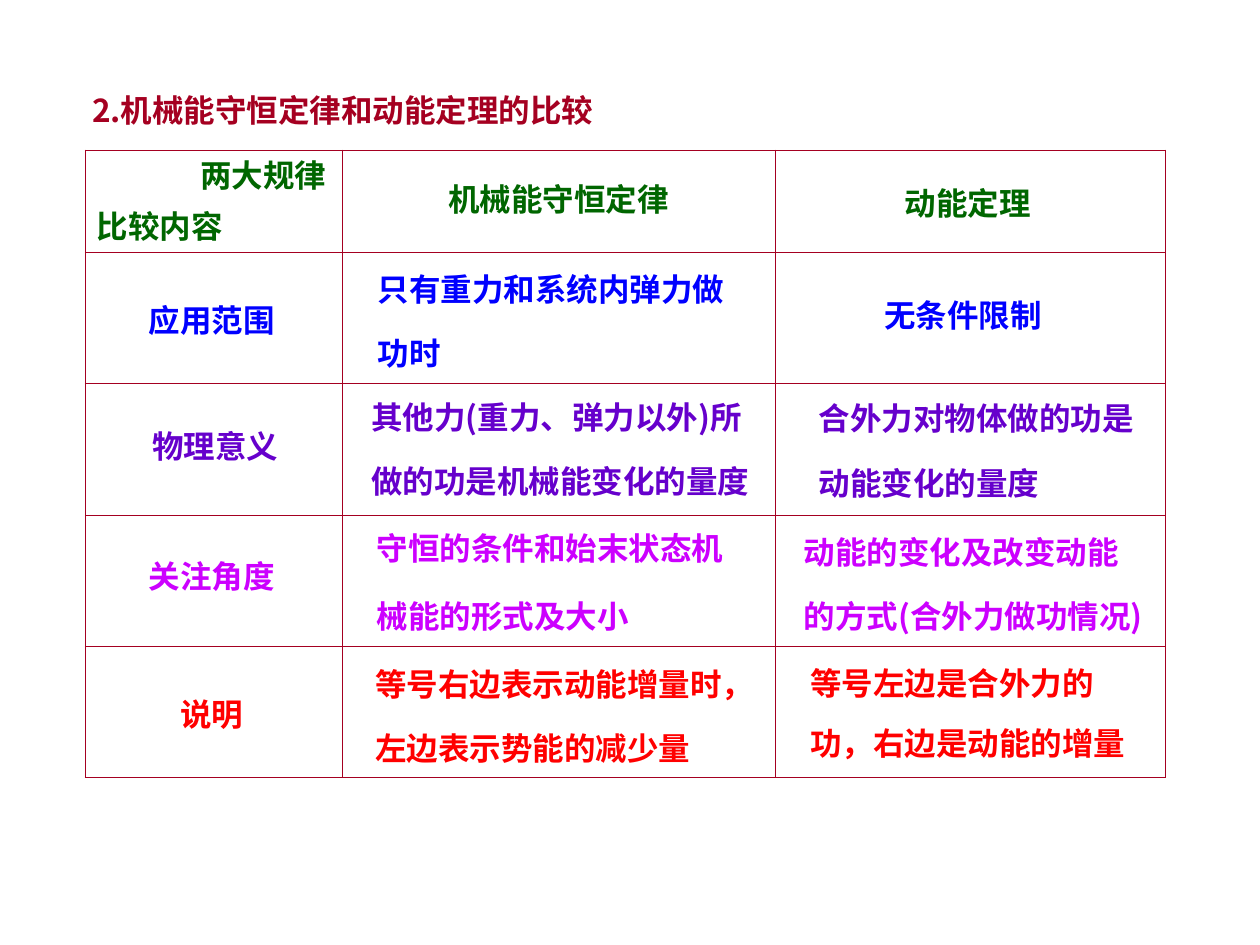
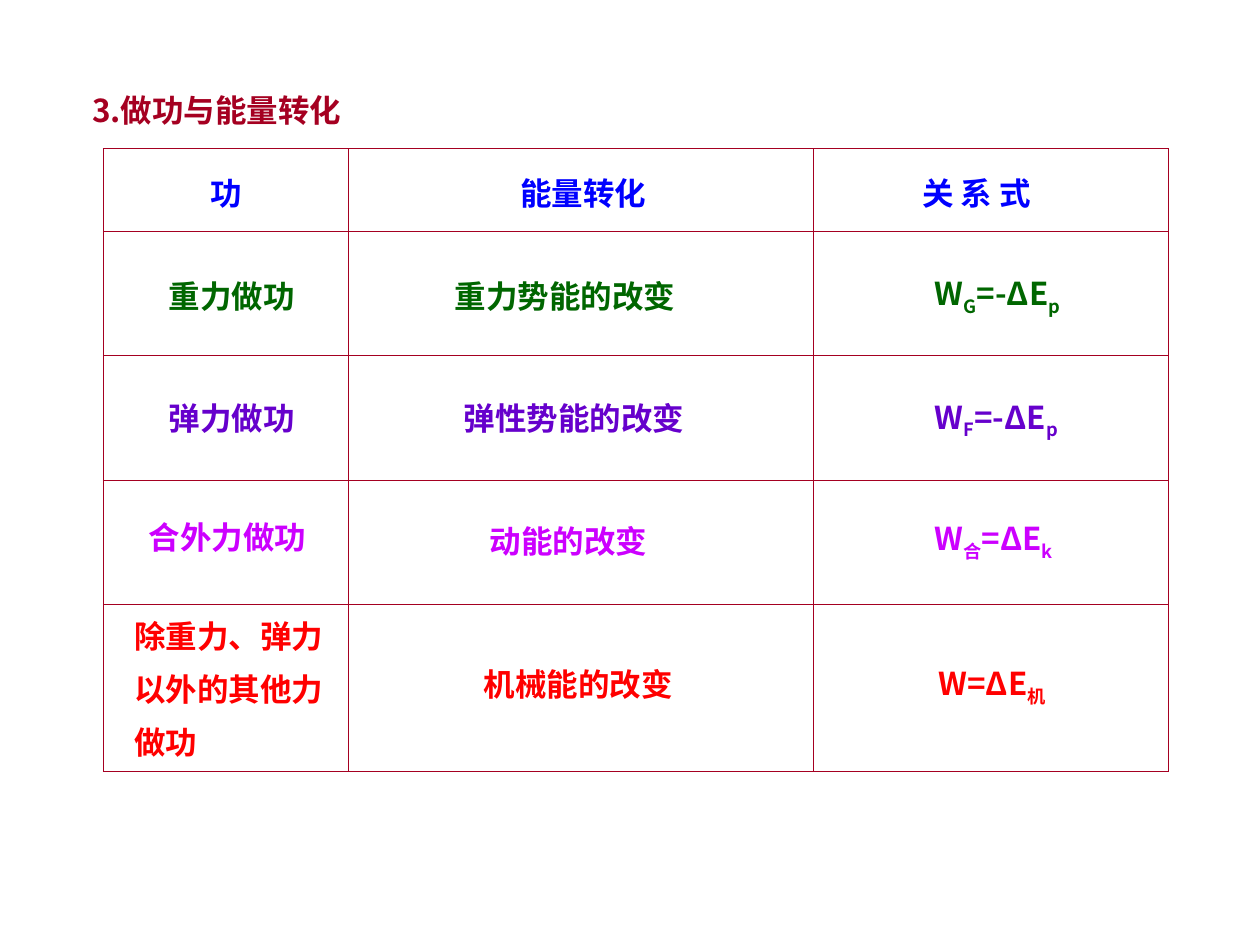
from lxml.etree import SubElement
from pptx import Presentation
from pptx.dml.color import RGBColor as RGB
from pptx.enum.text import MSO_ANCHOR as Anchor, MSO_AUTO_SIZE as AutoSize, PP_ALIGN as Align
from pptx.oxml.ns import qn
from pptx.util import Pt

COLORS = {
    "crimson": "A50021",
    "green": "006600",
    "blue": "0000FF",
    "purple": "6600CC",
    "magenta": "CC00FF",
    "red": "FF0000",
}
FONT = "Noto Sans CJK SC"
TEXT_SIZE = 18
LINE_HEIGHT = 21.6
INSET_X, INSET_Y = 7.2, 3.6
SUBSCRIPT_ROOM = 3.6
OUTER_RULE, INNER_RULE = 0.75, 0.45
TITLE_LEFT, TITLE_TOP = 45.4, 46.1

COMPARISON = [
    ("green", [
        ("两大规律", 107.3, 83.5, 107.3),
        ("比较内容", 48.2, 112.3, 115.9),
        ("机械能守恒定律", 249.1, 97.2, 162.7),
        ("动能定理", 509.8, 99.4, 129.6),
    ]),
    ("blue", [
        ("应用范围", 77.8, 166.3, 121.7),
        ("只有重力和系统内弹力做\n功时", 208.8, 135.4, 247.7, 1.7),
        ("无条件限制", 498.2, 163.4, 127.4),
    ]),
    ("purple", [
        ("物理意义", 79.9, 238.3, 127.4),
        ("其他力(重力、弹力以外)所\n做的功是机械能变化的量度", 205.2, 208.8, 268.6, 1.7),
        ("合外力对物体做的功是\n动能变化的量度", 460.8, 209.5, 232.6, 1.7),
    ]),
    ("magenta", [
        ("关注角度", 77.8, 312.5, 97.9),
        ("守恒的条件和始末状态机\n械能的形式及大小", 208.1, 281.5, 250.6, 1.8),
        ("动能的变化及改变动能\n的方式(合外力做功情况)", 452.2, 285.8, 247.7, 1.7),
    ]),
    ("red", [
        ("说明", 95.8, 391.7, 117.4),
        ("等号右边表示动能增量时，\n左边表示势能的减少量", 207.4, 361.4, 273.6, 1.7),
        ("等号左边是合外力的\n功，右边是动能的增量", 455.8, 362.9, 240.5, 1.6),
    ]),
]

CONVERSION = [
    ("blue", [
        ("功", 113, 93.6, 64.8),
        ("能量转化", 290.2, 93.6, 115.9),
        ("关 系 式", 519.8, 93.6, 115.9),
    ]),
    ("green", [
        ("重力做功", 89.3, 152.6, 115.9),
        ("重力势能的改变", 252.7, 152.6, 175),
        (("W", "G", "=-ΔE", "p"), 527, 150.5, 124.6),
    ]),
    ("purple", [
        ("弹力做功", 89.3, 222.5, 124.6),
        ("弹性势能的改变", 257.8, 222.5, 178.6),
        (("W", "F", "=-ΔE", "p"), 527, 221, 137.5),
    ]),
    ("magenta", [
        ("合外力做功", 77.8, 290.2, 124.6),
        ("动能的改变", 272.9, 292.3, 124.6),
        (("W", "合", "=ΔE", "k"), 527, 290.2, 124.6),
    ]),
    ("red", [
        ("除重力、弹力\n以外的其他力\n做功", 69.8, 340.6, 168.5, 1.4),
        ("机械能的改变", 269.3, 374.4, 145.4),
        (("W=ΔE", "机"), 529.2, 373, 145.4),
    ]),
]


def format_text(frame, color, spacing):
    frame.word_wrap = True
    frame.auto_size = AutoSize.SHAPE_TO_FIT_TEXT
    frame.vertical_anchor = Anchor.MIDDLE
    frame.margin_left = frame.margin_right = Pt(INSET_X)
    frame.margin_top = frame.margin_bottom = Pt(INSET_Y)
    for paragraph in frame.paragraphs:
        paragraph.alignment = Align.LEFT
        paragraph.line_spacing = spacing
        font = paragraph.font
        font.size, font.bold, font.name = Pt(TEXT_SIZE), True, FONT
        font.color.rgb = RGB.from_string(COLORS[color])
        defaults = paragraph._p.pPr.find(qn("a:defRPr"))
        SubElement(defaults, qn("a:ea"), typeface=FONT)


def text_height(line_count, spacing):
    return 2 * INSET_Y + line_count * LINE_HEIGHT * spacing


def write_formula(paragraph, parts):
    for position, part in enumerate(parts):
        run = paragraph.add_run()
        run.text = part
        if position % 2:
            run._r.get_or_add_rPr().set("baseline", "-25000")


def add_entry(slide, color, content, left, top, width, spacing=1.1):
    is_formula = isinstance(content, tuple)
    line_count = 1 if is_formula else len(content.split("\n"))
    height = text_height(line_count, spacing) + is_formula * SUBSCRIPT_ROOM
    entry = slide.shapes.add_textbox(Pt(left), Pt(top), Pt(width), Pt(height))
    if is_formula:
        write_formula(entry.text_frame.paragraphs[0], content)
    else:
        entry.text_frame.text = content
    format_text(entry.text_frame, color, spacing)


def set_title(slide, heading, width):
    title = slide.shapes.title
    title.left, title.top = Pt(TITLE_LEFT), Pt(TITLE_TOP)
    title.width, title.height = Pt(width), Pt(text_height(1, 1.1))
    title.text_frame.text = heading
    format_text(title.text_frame, "crimson", 1.1)


def rule_cell(cell, outer_sides):
    cell.fill.background()
    properties = cell._tc.get_or_add_tcPr()
    for position, side in enumerate(("L", "R", "T", "B")):
        weight = OUTER_RULE if side in outer_sides else INNER_RULE
        border = properties.makeelement(qn(f"a:ln{side}"), {"w": str(Pt(weight))})
        fill = SubElement(border, qn("a:solidFill"))
        SubElement(fill, qn("a:srgbClr"), val=COLORS["crimson"])
        properties.insert(position, border)


def add_grid(slide, left, top, widths, heights):
    last_row, last_column = len(heights) - 1, len(widths) - 1
    grid = slide.shapes.add_table(
        len(heights), len(widths), Pt(left), Pt(top), Pt(sum(widths)), Pt(sum(heights))
    ).table
    grid.first_row = grid.horz_banding = False
    for column, width in zip(grid.columns, widths):
        column.width = Pt(width)
    for r, height in enumerate(heights):
        grid.rows[r].height = Pt(height)
        for c in range(len(widths)):
            edges = {"L": c == 0, "R": c == last_column, "T": r == 0, "B": r == last_row}
            rule_cell(grid.cell(r, c), [side for side, outer in edges.items() if outer])


def add_table_slide(deck, heading, heading_width, grid, rows):
    slide = deck.slides.add_slide(deck.slide_layouts[5])
    set_title(slide, heading, heading_width)
    add_grid(slide, *grid)
    for color, entries in rows:
        for entry in entries:
            add_entry(slide, color, *entry)


def main():
    deck = Presentation()
    deck.slide_width, deck.slide_height = Pt(720), Pt(540)
    add_table_slide(
        deck, "2.机械能守恒定律和动能定理的比较", 351.4,
        (48.8, 85.8, [146.6, 247.5, 223], [58.3] + [75.1] * 4), COMPARISON,
    )
    add_table_slide(
        deck, "3.做功与能量转化", 287.3,
        (59.1, 84.9, [140, 265.7, 203.2], [47.3] + [71.1] * 3 + [95.5]), CONVERSION,
    )
    deck.save("out.pptx")


if __name__ == "__main__":
    main()
